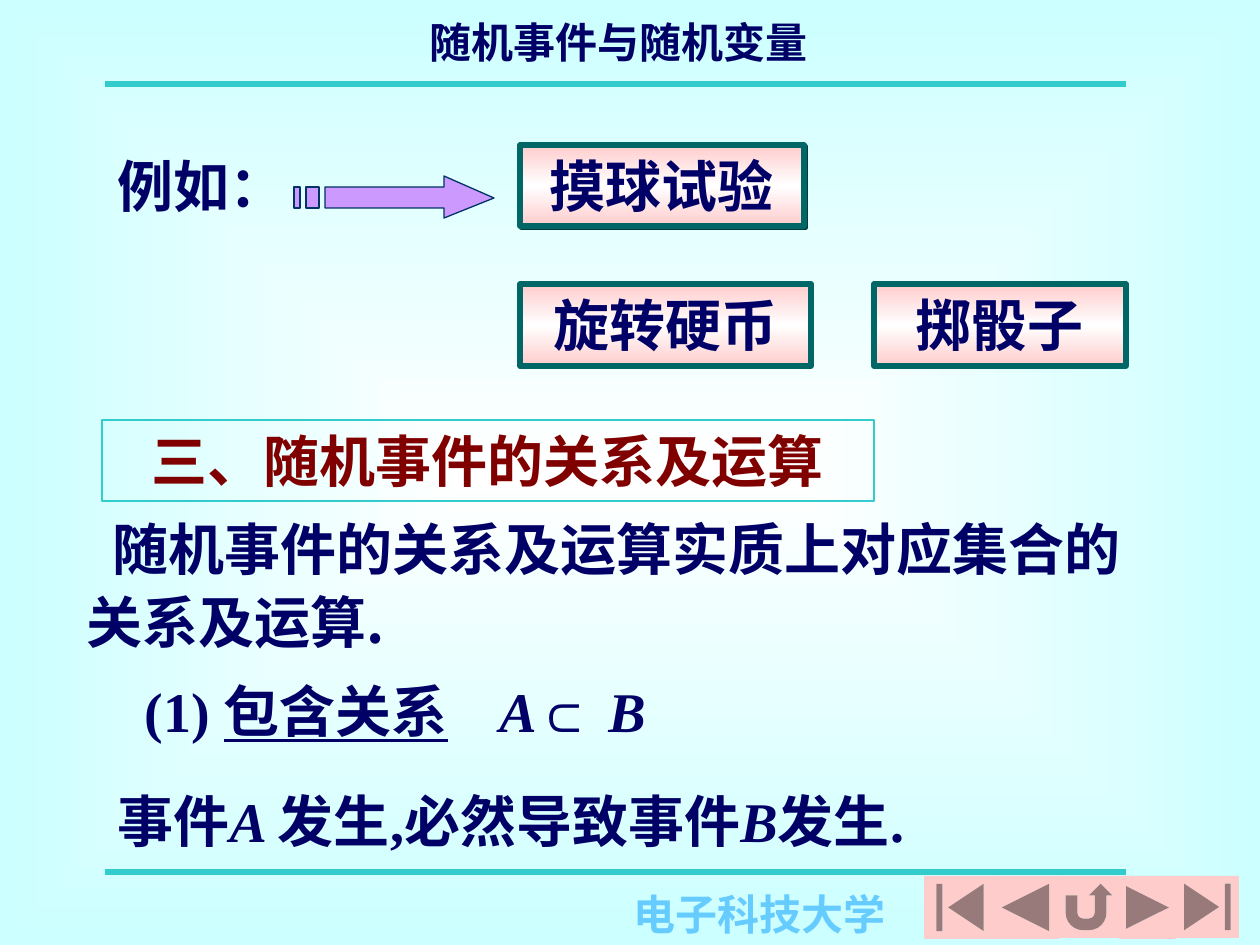
from pptx import Presentation
from pptx.dml.color import RGBColor as RGB
from pptx.enum.shapes import MSO_CONNECTOR as Connector, MSO_SHAPE as Shape
from pptx.enum.text import MSO_ANCHOR as Anchor, MSO_AUTO_SIZE as AutoSize, PP_ALIGN as Align
from pptx.oxml import parse_xml
from pptx.oxml.ns import nsdecls, qn
from pptx.util import Pt

PX = 914400 / 126  # EMU per pixel
SANS, SERIF, ARIAL = "Noto Sans CJK SC", "Times New Roman", "Arial"

WHITE = RGB(0xFF, 0xFF, 0xFF)
PALE_CYAN = RGB(0xCC, 0xFF, 0xFF)
PINK = RGB(0xFF, 0xCC, 0xCC)
LILAC = RGB(0xCC, 0x99, 0xFF)
NAVY = RGB(0x00, 0x00, 0x66)
DARK_BLUE = RGB(0x00, 0x33, 0x66)
MAROON = RGB(0x80, 0x00, 0x00)
SKY = RGB(0x66, 0xCC, 0xFF)
TURQUOISE = RGB(0x33, 0xCC, 0xCC)
TEAL = RGB(0x00, 0x66, 0x66)
DARK_TEAL = RGB(0x00, 0x3C, 0x3C)

RECT_PATH = ('<a:path {} path="rect"><a:fillToRect l="50000" t="50000" '
             'r="50000" b="50000"/></a:path>')
DOWNWARD = '<a:lin {} ang="5400000" scaled="0"/>'


def emu(px):
    return round(px * PX)


def xml(markup):
    return parse_xml(markup.format(nsdecls("a")))


def apply(target, values):
    for name, value in values.items():
        setattr(target, name, value)


class SlideBuilder:
    def __init__(self, slide):
        self.slide = slide
        self.shapes = slide.shapes
        self.font = {"size": Pt(32), "bold": True, "name": SANS}
        self.frame = {"auto_size": AutoSize.NONE, "vertical_anchor": Anchor.TOP, "word_wrap": True}

    def gradient(self, owner, fill, stops, direction):
        fill.gradient()
        grad = owner.find(".//" + qn("a:gradFill"))
        for child in list(grad):
            grad.remove(child)
        marks = "".join(f'<a:gs pos="{place * 1000}"><a:srgbClr val="{color}"/></a:gs>'
                        for place, color in stops)
        grad.append(xml("<a:gsLst {}>" + marks + "</a:gsLst>"))
        grad.append(xml(direction))

    def background(self, stops):
        self.gradient(self.slide.element, self.slide.background.fill, stops, RECT_PATH)

    def set_text(self, shape, runs, color=NAVY, frame=None, paragraph=None,
                 indent=None, tab=None, **font):
        """Runs are a string or (text, font overrides) pairs."""
        apply(shape.text_frame, self.frame | (frame or {}))
        line = shape.text_frame.paragraphs[0]
        props = line._p.get_or_add_pPr()
        if indent is not None:
            props.set("marL", "0")
            props.set("indent", str(emu(indent)))
            props.append(xml("<a:buNone {}/>"))
        if tab:
            props.append(xml(f'<a:tabLst {{}}><a:tab pos="{emu(tab)}" algn="l"/></a:tabLst>'))
        apply(line, paragraph or {})
        for text, changes in [(runs, {})] if isinstance(runs, str) else runs:
            run = line.add_run()
            run.text = text
            apply(run.font, self.font | font | changes)
            run.font.color.rgb = color
            run.font._element.append(xml(f'<a:ea {{}} typeface="{SANS}"/>'))

    def placeholder(self, holder, box, runs, **style):
        apply(holder, dict(zip(("left", "top", "width", "height"), map(emu, box))))
        self.set_text(holder, runs, **style)

    def text(self, box, runs, **style):
        self.set_text(self.shapes.add_textbox(*map(emu, box)), runs, **style)

    def outline(self, shape, color, width):
        shape.shadow.inherit = False
        if color is None:
            shape.line.fill.background()
        else:
            shape.line.color.rgb = color
            shape.line.width = Pt(width)

    def box(self, box, label, line, width, stops=None, shadow=None, **style):
        shape = self.shapes.add_shape(Shape.RECTANGLE, *map(emu, box))
        self.outline(shape, line, width)
        if stops:
            self.gradient(shape._element, shape.fill, stops, DOWNWARD)
        else:
            shape.fill.background()
        if shadow:
            shape._element.spPr.find(qn("a:effectLst")).append(xml(
                f'<a:outerShdw {{}} dist="{Pt(1.4)}" dir="2700000" algn="ctr" '
                f'rotWithShape="0"><a:srgbClr val="{shadow}"/></a:outerShdw>'))
        self.set_text(shape, label, paragraph={"alignment": Align.CENTER}, **style)

    def button(self, kind, box):
        shape = self.shapes.add_shape(kind, *map(emu, box))
        self.outline(shape, None, 0)
        shape.fill.solid()
        shape.fill.fore_color.rgb = PINK

    def outlines(self, contours, fill, line, width):
        first, *others = contours
        builder = self.shapes.build_freeform(*first[0], scale=PX)
        builder.add_line_segments(first[1:], close=True)
        for contour in others:
            builder.move_to(*contour[0])
            builder.add_line_segments(contour[1:], close=True)
        shape = builder.convert_to_shape()
        self.outline(shape, line, width)
        shape.fill.solid()
        shape.fill.fore_color.rgb = fill

    def rule(self, left, right, y):
        line = self.shapes.add_connector(Connector.STRAIGHT, *map(emu, (left, y, right, y)))
        line.line.color.rgb = TURQUOISE
        line.line.width = Pt(3)
        line._element.spPr.append(xml("<a:effectLst {}/>"))


def bar(left, right, top=187, bottom=208):
    return [(left, top), (right, top), (right, bottom), (left, bottom)]


def main():
    deck = Presentation()
    deck.slide_width, deck.slide_height = emu(1260), emu(945)
    slide = deck.slides.add_slide(deck.slide_layouts[1])
    page = SlideBuilder(slide)
    page.background([(0, WHITE), (100, PALE_CYAN)])

    # Header and footer
    for y in (84, 872):
        page.rule(105, 1126, y)
    page.placeholder(slide.shapes.title, (410, 10, 417, 63), "随机事件与随机变量",
                     size=Pt(24), name=SERIF,
                     paragraph={"alignment": Align.CENTER, "space_before": Pt(0)})
    page.text((621, 882, 277, 63), "电子科技大学", color=SKY, size=Pt(24), name=SERIF,
              frame={"word_wrap": False})

    # Navigation buttons
    buttons = [
        (Shape.ACTION_BUTTON_BEGINNING, 924, 72, 63),
        (Shape.ACTION_BUTTON_BACK_OR_PREVIOUS, 992, 67, 63),
        (Shape.ACTION_BUTTON_RETURN, 1058, 62, 62),
        (Shape.ACTION_BUTTON_FORWARD_OR_NEXT, 1119, 57, 63),
        (Shape.ACTION_BUTTON_END, 1176, 63, 62),
    ]
    for kind, left, width, height in buttons:
        page.button(kind, (left, 876, width, height))

    # Examples of experiments
    page.text((105, 145, 168, 81), "例如：")
    arrow = [(325, 187), (444, 187), (444, 176), (494, 198), (444, 218), (444, 208), (325, 208)]
    page.outlines([arrow, bar(294, 300), bar(306, 319)], LILAC, DARK_BLUE, 0.75)
    sheen = [(0, PINK), (50, WHITE), (100, PINK)]
    experiments = [
        ("摸球试验", (520, 145, 284, 81), SANS, DARK_TEAL),
        ("旋转硬币", (520, 284, 291, 82), SERIF, None),
        ("掷骰子", (874, 284, 252, 82), SERIF, None),
    ]
    for label, place, name, shadow in experiments:
        page.box(place, label, TEAL, 3, sheen, shadow, name=name)

    # Section on relations between events
    page.box((102, 420, 772, 81), "三、随机事件的关系及运算", TURQUOISE, 0.75, color=MAROON)
    page.placeholder(slide.placeholders[1], (74, 501, 1113, 161),
                     "随机事件的关系及运算实质上对应集合的关系及运算.", indent=26,
                     paragraph={"line_spacing": 1.1, "space_before": Pt(0)})
    variable = {"name": SERIF, "italic": True}
    page.text((132, 670, 597, 81), [
        ("(1) ", {"name": SERIF}), ("包含关系", {"underline": True}), ("\t", {}),
        ("A", variable), ("⊂ ", {"name": ARIAL}), ("B", variable)], tab=355)
    page.text((105, 780, 908, 81), [
        ("事件", {}), ("A ", variable), ("发生,必然导致事件", {}), ("B", variable),
        ("发生.", {})], name=SERIF, frame={"word_wrap": False})

    deck.save("out.pptx")


if __name__ == "__main__":
    main()
